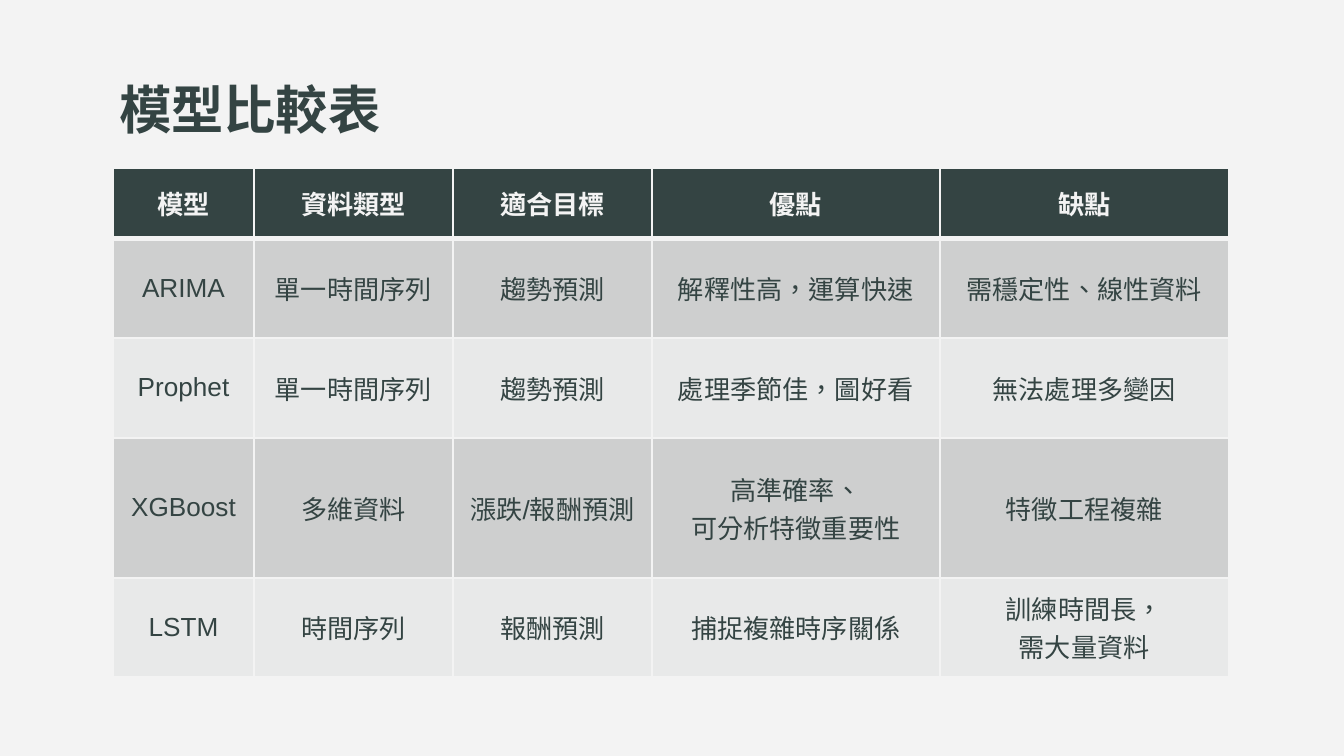
from lxml import etree
from pptx import Presentation
from pptx import util as u
from pptx.dml.color import RGBColor
from pptx.enum import lang, text
from pptx.oxml import ns

SCALE = 914400 / 134.4  # EMU per px

PAPER = RGBColor(0xF3, 0xF3, 0xF3)
GREEN = RGBColor(0x34, 0x44, 0x43)
DARK_BAND = RGBColor(0xCE, 0xCF, 0xCF)
LIGHT_BAND = RGBColor(0xE8, 0xE9, 0xE9)

TITLE_FONT = {"name": "Calibri", "size": u.Pt(28), "bold": True}
HEAD_FONT = {"name": "Arial", "size": u.Pt(14), "bold": True}
BODY_FONT = {"name": "Arial", "size": u.Pt(14), "bold": False}

COLUMN_WIDTHS = [141, 199, 199, 288, 289]
ROW_HEIGHTS = [71, 99, 100, 140, 99]
MODELS = [
    ["模型", "資料類型", "適合目標", "優點", "缺點"],
    ["ARIMA", "單一時間序列", "趨勢預測", "解釋性高，運算快速", "需穩定性、線性資料"],
    ["Prophet", "單一時間序列", "趨勢預測", "處理季節佳，圖好看", "無法處理多變因"],
    ["XGBoost", "多維資料", "漲跌/報酬預測", "高準確率、\n可分析特徵重要性", "特徵工程複雜"],
    ["LSTM", "時間序列", "報酬預測", "捕捉複雜時序關係", "訓練時間長，\n需大量資料"],
]


def px(length):
    return u.Emu(round(length * SCALE))


def write(frame, words, look, color, align):
    """Fill a text frame, one paragraph per line."""
    frame.text = words
    for para in frame.paragraphs:
        para.alignment = align
        for span in para.runs:
            for key, value in look.items():
                setattr(span.font, key, value)
            span.font.color.rgb = color
            span.font.language_id = lang.MSO_LANGUAGE_ID.TRADITIONAL_CHINESE


def add_borders(cell, widths):
    """Draw the cell's sides; widths are points in the order L, R, T, B."""
    properties = cell._tc.get_or_add_tcPr()
    for side, width in zip("LRTB", widths):
        line = etree.SubElement(properties, ns.qn(f"a:ln{side}"), w=str(u.Pt(width)))
        fill = etree.SubElement(line, ns.qn("a:solidFill"))
        etree.SubElement(fill, ns.qn("a:srgbClr"), val=str(PAPER))


def place_title(page, left, top, width, height):
    title = page.shapes.title
    title.left, title.top, title.width, title.height = map(px, (left, top, width, height))
    frame = title.text_frame
    frame.margin_left = frame.margin_right = u.Inches(0.1)
    frame.margin_top = frame.margin_bottom = u.Inches(0.1)
    frame.vertical_anchor = text.MSO_ANCHOR.MIDDLE
    frame.auto_size = text.MSO_AUTO_SIZE.NONE
    write(frame, "模型比較表", TITLE_FONT, GREEN, text.PP_ALIGN.LEFT)


def place_table(page, left, top):
    box = map(px, (left, top, sum(COLUMN_WIDTHS), sum(ROW_HEIGHTS)))
    table = page.shapes.add_table(len(MODELS), len(COLUMN_WIDTHS), *box).table
    for column, width in zip(table.columns, COLUMN_WIDTHS):
        column.width = px(width)
    for index, (row, height) in enumerate(zip(table.rows, ROW_HEIGHTS)):
        row.height = px(height)
        # Header first, then alternating bands
        if index == 0:
            fill, look, color = GREEN, HEAD_FONT, PAPER
        else:
            fill = DARK_BAND if index % 2 else LIGHT_BAND
            look, color = BODY_FONT, GREEN
        # A thick rule separates the header from the first model
        top_rule = 3 if index == 1 else 1
        bottom_rule = 3 if index == 0 else 1
        for cell, words in zip(row.cells, MODELS[index]):
            add_borders(cell, (1, 1, top_rule, bottom_rule))
            cell.fill.solid()
            cell.fill.fore_color.rgb = fill
            cell.vertical_anchor = text.MSO_ANCHOR.MIDDLE
            write(cell.text_frame, words, look, color, text.PP_ALIGN.CENTER)


def main():
    deck = Presentation()
    deck.slide_width, deck.slide_height = px(1344), px(756)
    page = deck.slides.add_slide(deck.slide_layouts[5])
    page.background.fill.solid()
    page.background.fill.fore_color.rgb = PAPER
    place_title(page, 106, 66, 1133, 85)
    place_table(page, 113, 168)
    deck.save("out.pptx")


if __name__ == "__main__":
    main()
